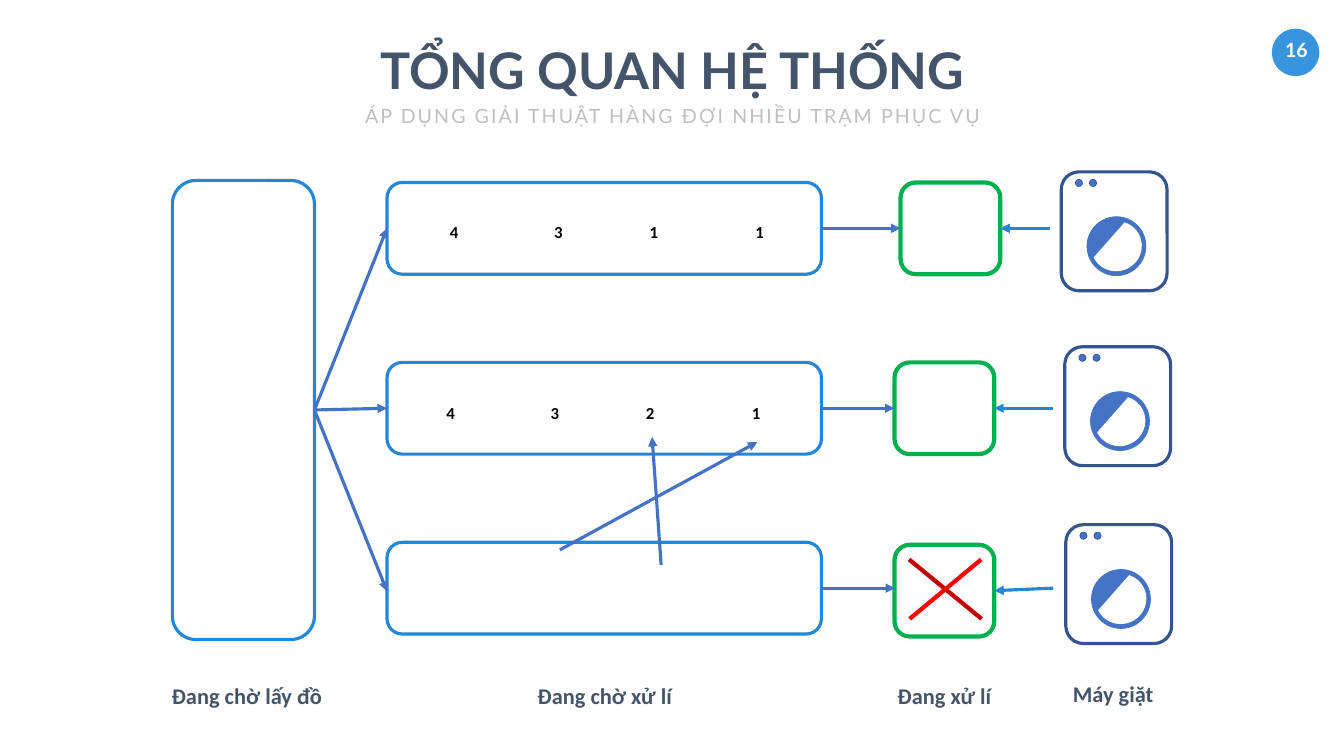
from dataclasses import dataclass
from typing import NamedTuple, Optional, Union

from lxml import etree
from pptx import Presentation
from pptx import util as u
from pptx.dml.color import RGBColor
from pptx.enum import shapes, text
from pptx.oxml import ns
from pptx.shapes.autoshape import Shape

WHITE = RGBColor(0xFF, 0xFF, 0xFF)
BLACK = RGBColor(0x00, 0x00, 0x00)
TITLE = RGBColor(0x44, 0x54, 0x6A)
SUBTITLE = RGBColor(0xBF, 0xBF, 0xBF)
CAPTION = RGBColor(0x44, 0x54, 0x69)
BADGE = RGBColor(0x38, 0x95, 0xDD)
BLUE = RGBColor(0x44, 0x72, 0xC4)
SKY = RGBColor(0x22, 0x87, 0xD6)
NAVY = RGBColor(0x32, 0x54, 0x91)
GREEN = RGBColor(0x00, 0xB0, 0x50)
DARK_RED = RGBColor(0xC0, 0x00, 0x00)
RED = RGBColor(0xFF, 0x00, 0x00)

KIND = shapes.MSO_SHAPE
LEFT, RIGHT = 1, 3  # connection sites


class Area(NamedTuple):
    left: float
    top: float
    width: float
    height: float


class Port(NamedTuple):
    box: Shape
    site: int


class Point(NamedTuple):
    x: float
    y: float


End = Union[Port, Point]


@dataclass
class Lane:
    tickets: str
    ticket_left: float
    ticket_top: float
    station: Point
    machine: Point
    feed: Point
    queue_entry: Optional[Point] = None
    station_entry: Optional[Point] = None


LANES = [
    Lane("4311", 8.83, 4.35, Point(17.87, 3.62), Point(21.06, 3.41), Point(20.83, 4.53)),
    Lane("4321", 8.76, 7.95, Point(17.75, 7.19), Point(21.13, 6.88), Point(20.9, 8.1)),
    Lane("", 0, 0, Point(17.75, 10.81), Point(21.15, 10.41), Point(20.9, 11.67),
         Point(7.68, 11.73), Point(17.76, 11.67)),
]
QUEUE_TOP, QUEUE_STEP = 3.62, 3.57
TICKET_OFFSETS = (0, 2.07, 3.96, 6.06)
CAPTIONS = [
    ("Đang chờ lấy đồ", 2.81, 13.48),
    ("Đang chờ xử lí", 9.91, 13.48),
    ("Đang xử lí", 16.65, 13.48),
    ("Máy giặt", 20, 13.45),
]


def add_box(page, kind, area: Area, fill: Optional[RGBColor] = None,
            line: Optional[RGBColor] = None, weight: float = 1) -> Shape:
    box = page.shapes.add_shape(kind, *map(u.Inches, area))
    box.shadow.inherit = False
    for part, color in ((box.fill, fill), (box.line.fill, line)):
        if color is None:
            part.background()
        else:
            part.solid()
            part.fore_color.rgb = color
    if line is not None:
        box.line.width = u.Pt(weight)
    return box


def add_text(page, words: str, area: Area, size: float, color: RGBColor,
             name: str = "Calibri", bold: bool = True, wrap: bool = False,
             align=text.PP_ALIGN.CENTER, inset: float = 0.1):
    box = page.shapes.add_textbox(*map(u.Inches, area))
    frame = box.text_frame
    side, edge = u.Inches(inset), u.Inches(inset / 2)
    layout = {"margin_left": side, "margin_right": side, "margin_top": edge,
              "margin_bottom": edge, "word_wrap": wrap,
              "auto_size": text.MSO_AUTO_SIZE.SHAPE_TO_FIT_TEXT}
    for key, value in layout.items():
        setattr(frame, key, value)
    para = frame.paragraphs[0]
    para.alignment = align
    span = para.add_run()
    span.text = words
    for key, value in {"name": name, "size": u.Pt(size), "bold": bold}.items():
        setattr(span.font, key, value)
    span.font.color.rgb = color
    return para


def locate(end: End) -> tuple[int, int]:
    if isinstance(end, Point):
        return u.Inches(end.x), u.Inches(end.y)
    box = end.box
    x = box.left if end.site == LEFT else box.left + box.width
    return x, box.top + box.height // 2


def add_line(page, start: End, finish: End, color: RGBColor,
             weight: float = 4.5, arrow: bool = True) -> None:
    line = page.shapes.add_connector(
        shapes.MSO_CONNECTOR.STRAIGHT, *locate(start), *locate(finish))
    if isinstance(start, Port):
        line.begin_connect(*start)
    if isinstance(finish, Port):
        line.end_connect(*finish)
    line.line.color.rgb = color
    line.line.width = u.Pt(weight)
    if arrow:
        outline = line.line._get_or_add_ln()
        etree.SubElement(outline, ns.qn("a:tailEnd"), type="triangle")
    etree.SubElement(line._element.spPr, ns.qn("a:effectLst"))


def add_machine(page, corner: Point) -> None:
    x, y = corner
    add_box(page, KIND.ROUNDED_RECTANGLE, Area(x, y, 2.1, 2.36), line=NAVY, weight=4.5)
    add_box(page, KIND.OVAL, Area(x + 0.51, y + 0.89, 1.17, 1.17), BLUE, BLUE)
    water = add_box(page, KIND.CHORD, Area(x + 0.6, y + 0.97, 0.99, 1.01), WHITE)
    water.rotation = 243.8
    for offset in (0.28, 0.56):
        add_box(page, KIND.OVAL, Area(x + offset, y + 0.15, 0.14, 0.14), BLUE, NAVY)


def add_lane(page, lane: Lane, top: float, waiting: Shape) -> None:
    queue = add_box(page, KIND.ROUNDED_RECTANGLE, Area(7.68, top, 8.62, 1.82),
                    line=SKY, weight=4.5)
    station = add_box(page, KIND.ROUNDED_RECTANGLE, Area(*lane.station, 1.98, 1.82),
                      line=GREEN, weight=6)
    add_line(page, Port(waiting, RIGHT), lane.queue_entry or Port(queue, LEFT), BLUE)
    add_line(page, Port(queue, RIGHT), lane.station_entry or Port(station, LEFT), BLUE)
    add_line(page, lane.feed, Port(station, RIGHT), SKY)
    for ticket, offset in zip(lane.tickets, TICKET_OFFSETS):
        add_text(page, ticket, Area(lane.ticket_left + offset, lane.ticket_top, 0.42, 0.6),
                 24, BLACK, align=text.PP_ALIGN.LEFT)
    add_machine(page, lane.machine)


def main() -> None:
    deck = Presentation()
    deck.slide_width, deck.slide_height = u.Inches(26.67), u.Inches(15)
    page = deck.slides.add_slide(deck.slide_layouts[6])

    # Page number
    add_box(page, KIND.OVAL, Area(25.24, 0.57, 0.94, 0.94), BADGE)
    add_text(page, "16", Area(25.27, 0.66, 0.91, 0.67), 28, WHITE, "Lato", inset=0.2)

    # Heading
    add_text(page, "TỔNG QUAN HỆ THỐNG", Area(7.41, 0.72, 11.86, 1.31), 72, TITLE, "Lato")
    subtitle = add_text(page, "ÁP DỤNG GIẢI THUẬT HÀNG ĐỢI NHIỀU TRẠM PHỤC VỤ",
                        Area(6.92, 1.85, 12.86, 0.75), 28, SUBTITLE, "Lato",
                        bold=False, inset=0.24)
    subtitle.line_spacing = 1.2
    subtitle.runs[0]._r.get_or_add_rPr().set("spc", "300")

    # Waiting room and the three service lanes
    waiting = add_box(page, KIND.ROUNDED_RECTANGLE, Area(3.42, 3.58, 2.82, 9.11),
                      line=SKY, weight=4.5)
    for row, lane in enumerate(LANES):
        add_lane(page, lane, QUEUE_TOP + row * QUEUE_STEP, waiting)

    # Closed station and its customers moving to the second lane
    add_line(page, Point(18.04, 11.1), Point(19.48, 12.28), DARK_RED, 6, arrow=False)
    add_line(page, Point(18.05, 12.28), Point(19.47, 11.1), RED, 6, arrow=False)
    add_line(page, Point(13.12, 11.21), Point(12.94, 8.67), BLUE)
    add_line(page, Point(11.11, 10.91), Point(15.03, 8.77), BLUE)

    # Column captions
    for words, left, top in CAPTIONS:
        add_text(page, words, Area(left, top, 4.18, 0.77), 32, CAPTION, wrap=True)

    deck.save("out.pptx")


if __name__ == "__main__":
    main()
